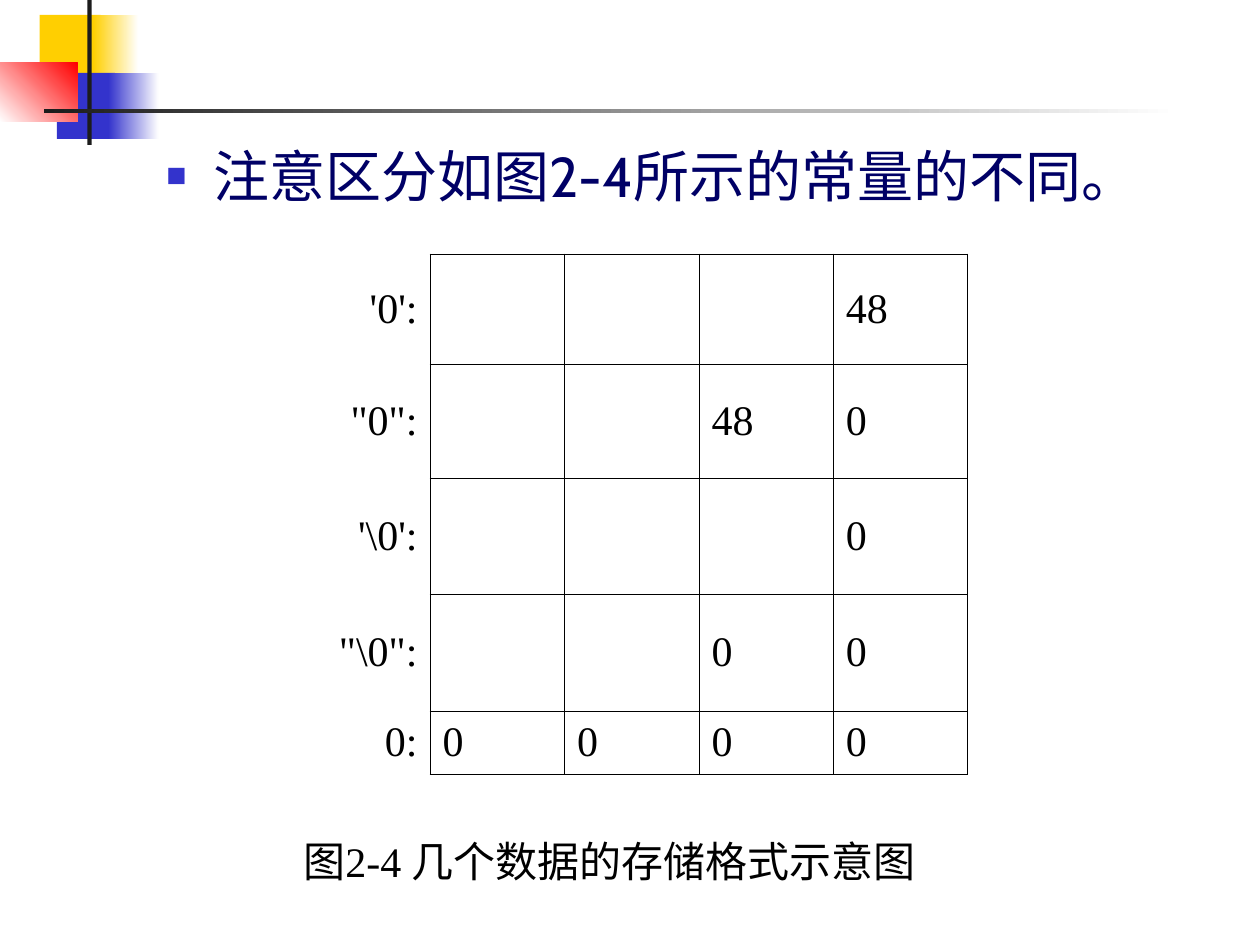
from lxml.etree import SubElement
from pptx import Presentation
from pptx.dml.color import RGBColor
from pptx.enum.shapes import MSO_SHAPE as Shape
from pptx.enum.text import MSO_ANCHOR as Anchor, MSO_AUTO_SIZE as AutoSize, PP_ALIGN as Align
from pptx.oxml import parse_xml
from pptx.oxml.ns import nsdecls, qn
from pptx.util import Cm, Pt


def color(value):
    return RGBColor.from_string(value)


def write(paragraph, text, size, font, text_color, align):
    paragraph.text = text
    paragraph.alignment = align
    paragraph.font.size = Pt(size)
    paragraph.font.name = font
    paragraph.font.color.rgb = color(text_color)


presentation = Presentation()
presentation.slide_width = Cm(25.4)
presentation.slide_height = Cm(19.05)
slide = presentation.slides.add_slide(presentation.slide_layouts[1])
title = slide.shapes.title
title.element.getparent().remove(title.element)

decorations = [
    (0.8, 0.3, 1.23, 1.33, ["FFCF01"], 0),
    (1.88, 0.3, 0.91, 1.33, ["FFCF01", "FFFFFF"], 0),
    (1.15, 1.47, 1.17, 1.33, ["3333CC"], 0),
    (2.18, 1.47, 1.02, 1.33, ["3333CC", "FFFFFF"], 0),
    (0, 1.27, 1.56, 1.18, ["FFFFFF", "FF0000"], 45),
    (1.76, 0, 0.09, 2.92, ["1C1C1C"], 0),
    (0.89, 2.2, 22.86, 0.08, ["1C1C1C", "FFFFFF"], 0),
]
for left, top, width, height, colors, angle in decorations:
    shape = slide.shapes.add_shape(Shape.RECTANGLE, Cm(left), Cm(top), Cm(width), Cm(height))
    shape.shadow.inherit = False
    shape.line.fill.background()
    if len(colors) == 1:
        shape.fill.solid()
        shape.fill.fore_color.rgb = color(colors[0])
    else:
        shape.fill.gradient()
        shape.fill.gradient_angle = angle
        for stop, stop_color, position in zip(shape.fill.gradient_stops, colors, (0, 1)):
            stop.color.rgb = color(stop_color)
            stop.position = position

body = slide.placeholders[1]
body.left, body.top, body.width, body.height = Cm(3.1), Cm(2.72), Cm(21.77), Cm(14.3)
body.text_frame.auto_size = AutoSize.NONE
paragraph = body.text_frame.paragraphs[0]
properties = paragraph._p.get_or_add_pPr()
properties.set("marL", str(Cm(0.95)))
properties.set("indent", str(Cm(-0.95)))
bullet_color = SubElement(properties, qn("a:buClr"))
SubElement(bullet_color, qn("a:srgbClr"), val="3333CC")
SubElement(properties, qn("a:buSzPct"), val="60000")
SubElement(properties, qn("a:buChar"), char="■")
paragraph.space_before = Pt(0)
write(paragraph, "注意区分如图2-4所示的常量的不同。", 32, "Cabin", "000066", Align.LEFT)

rows = [
    ("'0':", "", "", "", "48"),
    ('"0":', "", "", "48", "0"),
    ("'\\0':", "", "", "", "0"),
    ('"\\0":', "", "", "0", "0"),
    ("0:", "0", "0", "0", "0"),
]
column_widths = [7.77] + [2.71] * 4
row_heights = [2.22, 2.3, 2.34, 2.36, 1.27]
frame = slide.shapes.add_table(
    len(rows), len(column_widths), Cm(0.9), Cm(5.12), Cm(sum(column_widths)), Cm(sum(row_heights)))
table = frame.table
table.first_row = False
table.horz_banding = False
table._tbl.tblPr.find(qn("a:tableStyleId")).text = "{2D5ABB26-0587-4C30-8999-92F81FD0307C}"
for column, width in zip(table.columns, column_widths):
    column.width = Cm(width)
for row, height, values in zip(table.rows, row_heights, rows):
    row.height = Cm(height)
    for index, (cell, value) in enumerate(zip(row.cells, values)):
        cell.fill.background()
        cell.vertical_anchor = Anchor.MIDDLE
        align = Align.LEFT if index else Align.RIGHT
        write(cell.text_frame.paragraphs[0], value, 24, "Times New Roman", "000000", align)
        sides = ("lnL", "lnR", "lnT", "lnB") if index else ("lnR",)
        for place, side in enumerate(sides):
            border = parse_xml(
                f'<a:{side} {nsdecls("a")} w="{Pt(0.45)}"><a:solidFill>'
                f'<a:srgbClr val="000000"/></a:solidFill></a:{side}>')
            cell._tc.get_or_add_tcPr().insert(place, border)

caption = slide.shapes.add_textbox(Cm(5.66), Cm(16.71), Cm(13.26), Cm(1.27))
caption.text_frame.word_wrap = False
caption.text_frame.auto_size = AutoSize.SHAPE_TO_FIT_TEXT
caption.text_frame.vertical_anchor = Anchor.MIDDLE
write(caption.text_frame.paragraphs[0], "图2-4 几个数据的存储格式示意图", 24,
      "Times New Roman", "000000", Align.CENTER)

presentation.save("out.pptx")
